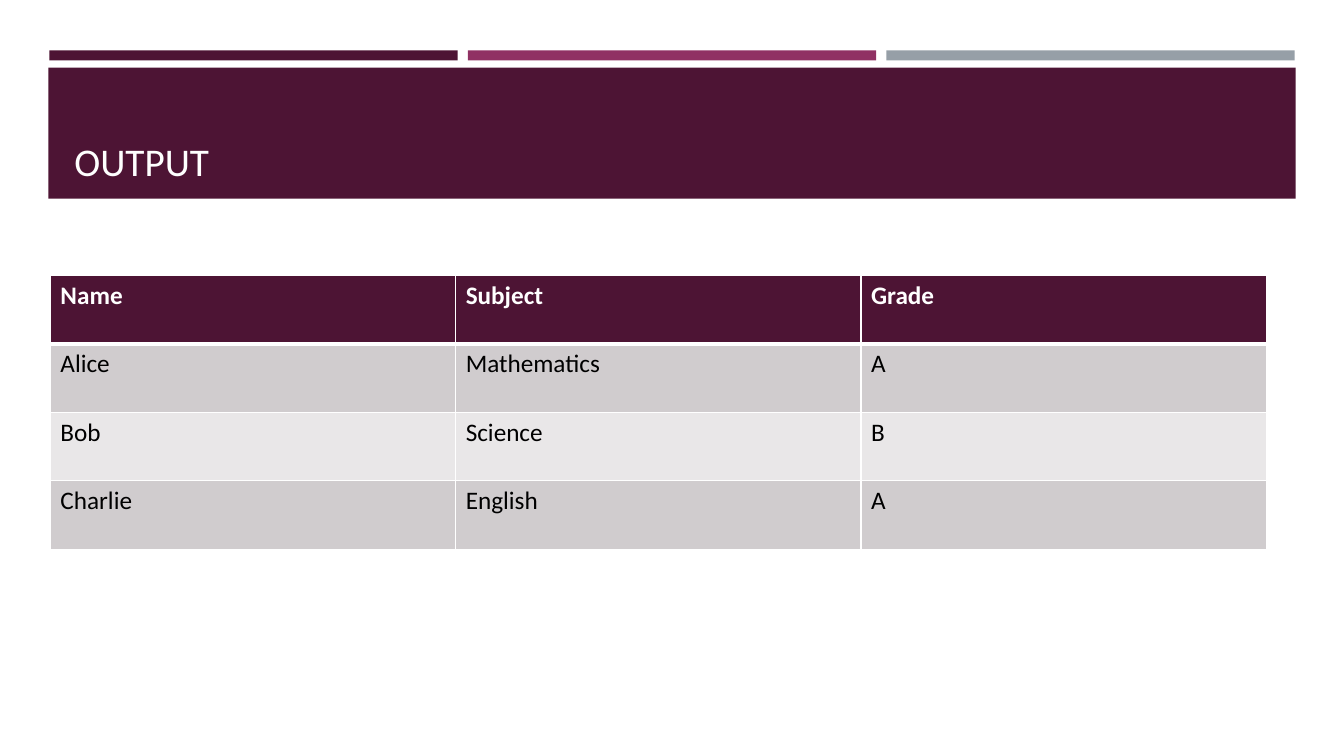
"""Build the Output slide: a banner under three accent bars and a table of grades."""
import pptx
import pptx.dml.color
import pptx.enum.shapes
import pptx.enum.text
import pptx.oxml.ns
import pptx.util
from lxml import etree

Inches = pptx.util.Inches
Pt = pptx.util.Pt
RGBColor = pptx.dml.color.RGBColor

PLUM = RGBColor(0x4D, 0x14, 0x34)
MAGENTA = RGBColor(0x90, 0x31, 0x63)
SLATE = RGBColor(0x96, 0x9F, 0xA7)
DARK_BAND = RGBColor(0xD0, 0xCC, 0xCE)
LIGHT_BAND = RGBColor(0xE9, 0xE7, 0xE8)
WHITE = RGBColor(0xFF, 0xFF, 0xFF)
BLACK = RGBColor(0x00, 0x00, 0x00)

TITLE = "OUTPUT"
GRADES = [
    ("Name", "Subject", "Grade"),
    ("Alice", "Mathematics", "A"),
    ("Bob", "Science", "B"),
    ("Charlie", "English", "A"),
]
ACCENT_BARS = [PLUM, MAGENTA, SLATE]
BAR_LEFT, BAR_STEP, BAR_WIDTH = 0.49, 4.15, 4.05
COLUMN_WIDTH, ROW_HEIGHT = 4.02, 0.68


def write_text(frame, text, *, size, color, bold=False):
    run = frame.paragraphs[0].add_run()
    run.text = text
    run.font.name = "Calibri"
    run.font.size = Pt(size)
    run.font.bold = bold
    run.font.color.rgb = color


def add_block(slide, left, top, width, height, color):
    block = slide.shapes.add_shape(
        pptx.enum.shapes.MSO_SHAPE.RECTANGLE,
        Inches(left), Inches(top), Inches(width), Inches(height))
    block.shadow.inherit = False
    block.fill.solid()
    block.fill.fore_color.rgb = color
    block.line.fill.background()


def set_borders(cell, widths):
    properties = cell._tc.get_or_add_tcPr()
    for position, (side, width) in enumerate(widths.items()):
        border = etree.Element(pptx.oxml.ns.qn(f"a:ln{side}"), w=str(Pt(width)))
        fill = etree.SubElement(border, pptx.oxml.ns.qn("a:solidFill"))
        etree.SubElement(fill, pptx.oxml.ns.qn("a:srgbClr"), val=str(WHITE))
        properties.insert(position, border)


def add_grades(slide):
    rows, columns = len(GRADES), len(GRADES[0])
    grades = slide.shapes.add_table(
        rows, columns, Inches(0.5), Inches(2.73),
        Inches(COLUMN_WIDTH * columns), Inches(ROW_HEIGHT * rows)).table
    for r, record in enumerate(GRADES):
        header = r == 0
        band = PLUM if header else DARK_BAND if r % 2 else LIGHT_BAND
        for c, entry in enumerate(record):
            cell = grades.cell(r, c)
            cell.fill.solid()
            cell.fill.fore_color.rgb = band
            set_borders(cell, {"L": 1, "R": 1, "T": 3 if r == 1 else 1, "B": 3 if header else 1})
            write_text(cell.text_frame, entry, size=18,
                       color=WHITE if header else BLACK, bold=header)


def main():
    deck = pptx.Presentation()
    deck.slide_width, deck.slide_height = Inches(13.33), Inches(7.5)
    slide = deck.slides.add_slide(deck.slide_layouts[6])

    for i, color in enumerate(ACCENT_BARS):
        add_block(slide, BAR_LEFT + i * BAR_STEP, 0.5, BAR_WIDTH, 0.1, color)
    add_block(slide, 0.48, 0.67, 12.37, 1.3, PLUM)

    title = slide.shapes.add_textbox(
        Inches(0.64), Inches(0.77), Inches(12.06), Inches(1.11)).text_frame
    title.word_wrap = True
    title.vertical_anchor = pptx.enum.text.MSO_ANCHOR.BOTTOM
    write_text(title, TITLE, size=28, color=WHITE)

    add_grades(slide)
    deck.save("out.pptx")


if __name__ == "__main__":
    main()
